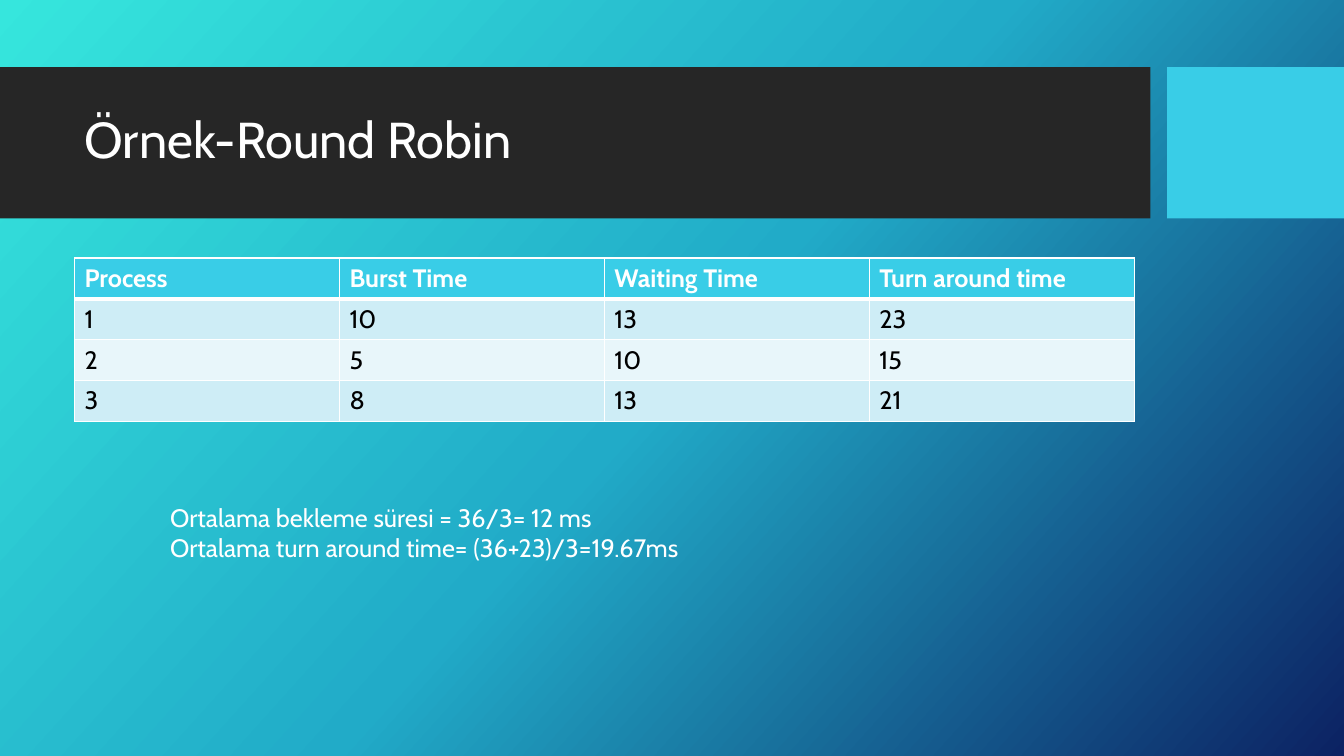
from copy import deepcopy
from dataclasses import dataclass

from lxml.etree import SubElement
from pptx import Presentation
from pptx.dml.color import RGBColor
from pptx.enum.shapes import MSO_SHAPE
from pptx.enum.text import MSO_ANCHOR, MSO_AUTO_SIZE
from pptx.oxml.ns import qn
from pptx.util import Inches, Pt


@dataclass(frozen=True)
class Theme:
    font: str = "Cabin"
    title_size: int = 36
    body_size: int = 18
    light: str = "FFFFFF"
    dark: str = "000000"
    band: str = "262626"
    accent: str = "39CDE7"
    row_fills: tuple = ("CEEDF6", "E8F6FA")
    background: tuple = ("36E6DD", "21ABC8", "0C2263")
    background_angle: int = 42
    border: int = 1
    header_border: int = 3


def set_attributes(target, values):
    for name, value in values.items():
        setattr(target, name, value)


class SlideBuilder:
    """Draws on one slide; every box is left, top, width, height in percent of the slide."""

    def __init__(self, presentation, theme):
        self.theme = theme
        self.size = presentation.slide_width, presentation.slide_height
        self.slide = presentation.slides.add_slide(presentation.slide_layouts[6])

    def place(self, box):
        return [round(share * self.size[index % 2] / 100) for index, share in enumerate(box)]

    def gradient_background(self):
        fill = self.slide.background.fill
        fill.gradient()
        # python-pptx measures gradient angles counter-clockwise
        fill.gradient_angle = 360 - self.theme.background_angle
        stop_list = self.slide.element.find(".//" + qn("a:gsLst"))
        colours = self.theme.background
        while len(stop_list) < len(colours):
            stop_list.append(deepcopy(stop_list[0]))
        for index, (stop, colour) in enumerate(zip(fill.gradient_stops, colours)):
            stop.position = index / (len(colours) - 1)
            stop.color.rgb = RGBColor.from_string(colour)

    def rectangle(self, box, colour):
        shape = self.slide.shapes.add_shape(MSO_SHAPE.RECTANGLE, *self.place(box))
        shape.shadow.inherit = False
        shape.fill.solid()
        shape.fill.fore_color.rgb = RGBColor.from_string(colour)
        shape.line.fill.background()

    def fill_text(self, text_frame, lines, size, colour, bold=False, line_spacing=None):
        text_frame.text = "\n".join(lines)
        for paragraph in text_frame.paragraphs:
            paragraph.line_spacing = line_spacing
            for run in paragraph.runs:
                set_attributes(run.font, {"name": self.theme.font, "size": Pt(size), "bold": bold})
                run.font.color.rgb = RGBColor.from_string(colour)

    def text(self, box, lines, size, frame_format, line_spacing=None):
        shape = self.slide.shapes.add_textbox(*self.place(box))
        set_attributes(shape.text_frame, frame_format)
        self.fill_text(shape.text_frame, lines, size, self.theme.light, line_spacing=line_spacing)

    def borders(self, cell, top, bottom):
        """Adds the four cell lines, which must come before the cell's fill."""
        properties = cell._tc.get_or_add_tcPr()
        widths = {"L": self.theme.border, "R": self.theme.border, "T": top, "B": bottom}
        for side, width in widths.items():
            line = SubElement(properties, qn(f"a:ln{side}"), w=str(Pt(width)))
            solid = SubElement(line, qn("a:solidFill"))
            SubElement(solid, qn("a:srgbClr"), val=self.theme.light)

    def table(self, box, rows):
        theme = self.theme
        left, top, width, height = self.place(box)
        table = self.slide.shapes.add_table(
            len(rows), len(rows[0]), left, top, width, height).table
        for row_index, values in enumerate(rows):
            header = row_index == 0
            fill = theme.accent if header else theme.row_fills[(row_index - 1) % 2]
            top_border = theme.header_border if row_index == 1 else theme.border
            bottom_border = theme.header_border if header else theme.border
            for column_index, value in enumerate(values):
                cell = table.cell(row_index, column_index)
                self.borders(cell, top_border, bottom_border)
                cell.fill.solid()
                cell.fill.fore_color.rgb = RGBColor.from_string(fill)
                self.fill_text(cell.text_frame, [value], theme.body_size,
                               theme.light if header else theme.dark, bold=header)


def main():
    presentation = Presentation()
    set_attributes(presentation, {"slide_width": Inches(13.33), "slide_height": Inches(7.5)})
    theme = Theme()
    builder = SlideBuilder(presentation, theme)

    builder.gradient_background()
    builder.rectangle((0, 8.9, 85.6, 20), theme.band)
    builder.rectangle((86.85, 8.9, 13.15, 20), theme.accent)
    builder.text((5.55, 10.93, 78.84, 15.73), ["Örnek-Round Robin"], theme.title_size,
                 {"word_wrap": True, "vertical_anchor": MSO_ANCHOR.MIDDLE}, line_spacing=0.9)
    builder.table((5.55, 34.13, 78.84, 21.6), [
        ("Process", "Burst Time", "Waiting Time", "Turn around time"),
        ("1", "10", "13", "23"),
        ("2", "5", "10", "15"),
        ("3", "8", "13", "21"),
    ])
    builder.text((11.93, 65.73, 42.46, 9.47), [
        "Ortalama bekleme süresi = 36/3= 12 ms",
        "Ortalama turn around time= (36+23)/3=19.67ms",
    ], theme.body_size, {"word_wrap": False, "auto_size": MSO_AUTO_SIZE.SHAPE_TO_FIT_TEXT})

    presentation.save("out.pptx")


if __name__ == "__main__":
    main()
